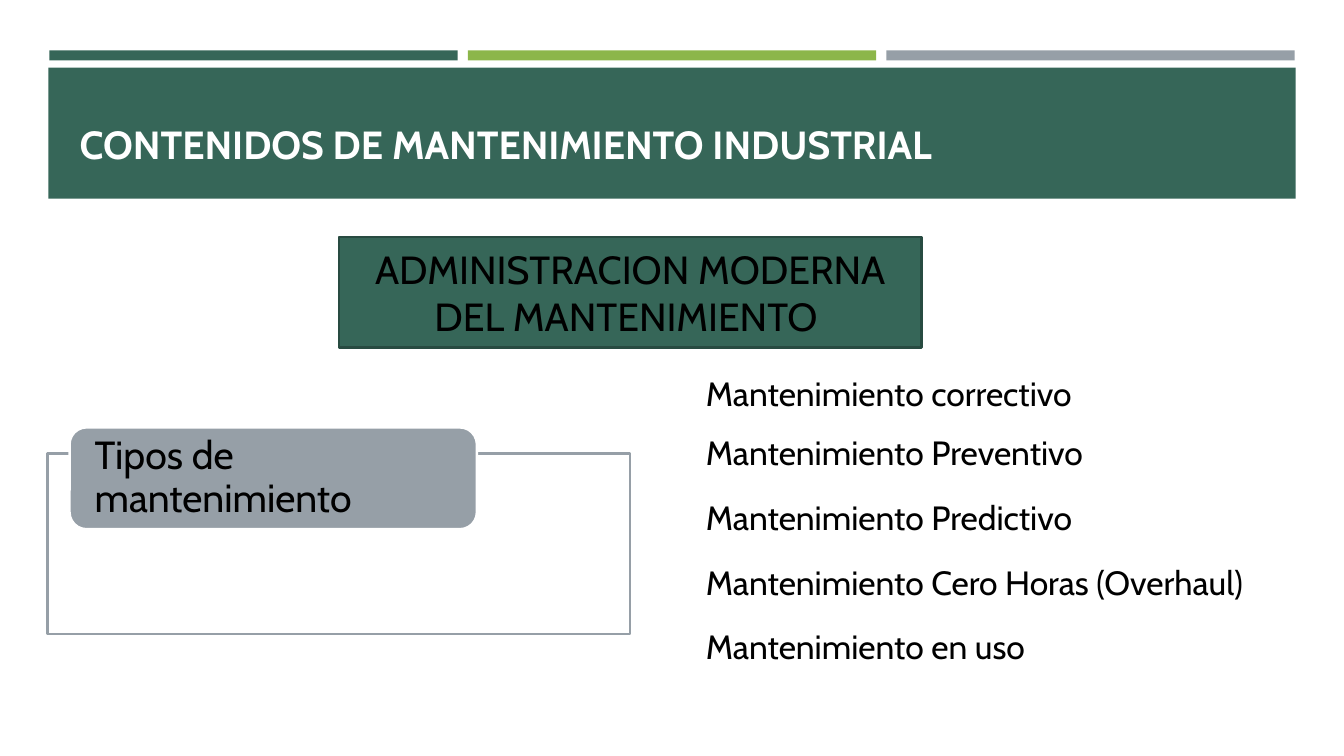
import pptx
import pptx.util
import pptx.dml.color
import pptx.enum.shapes
import pptx.enum.text

RGB = pptx.dml.color.RGBColor
SHAPE = pptx.enum.shapes.MSO_SHAPE
ANCHOR = pptx.enum.text.MSO_ANCHOR
ALIGN = pptx.enum.text.PP_ALIGN
Pt = pptx.util.Pt

GREEN = RGB(0x36, 0x66, 0x58)
DARK = RGB(0x28, 0x4B, 0x41)
LIME = RGB(0x8C, 0xB6, 0x4A)
GREY = RGB(0x96, 0x9F, 0xA7)
WHITE = RGB(0xFF, 0xFF, 0xFF)
BLACK = RGB(0, 0, 0)

SCALE = 9144  # EMU in one px, 100 px to the inch
TYPES = [
    "Mantenimiento correctivo",
    "Mantenimiento Preventivo",
    "Mantenimiento Predictivo",
    "Mantenimiento Cero Horas (Overhaul)",
    "Mantenimiento en uso",
]
GAPS = [0, 13.3, 17.6, 17.6, 17.2]


def px(num):
    return pptx.util.Emu(num * SCALE)


def apply(item, **vals):
    for name, val in vals.items():
        setattr(item, name, val)


def place(item, left, top, width, height):
    apply(item, left=px(left), top=px(top), width=px(width), height=px(height))


def style(para, size, color=BLACK, bold=False, **form):
    apply(para, **form)
    apply(para.font, name="Cabin", size=Pt(size), bold=bold)
    para.font.color.rgb = color


def block(slide, kind, box, fill, line=None):
    shape = slide.shapes.add_shape(kind, *map(px, box))
    shape.shadow.inherit = False
    shape.fill.solid()
    shape.fill.fore_color.rgb = fill
    if line is None:
        shape.line.fill.background()
    else:
        shape.line.color.rgb = line
        shape.line.width = Pt(1.75)
    return shape


def label(shape, text, align, inset, **form):
    frame = shape.text_frame
    apply(frame, word_wrap=True, vertical_anchor=ANCHOR.MIDDLE,
          margin_left=px(inset), margin_right=px(inset))
    frame.text = text
    style(frame.paragraphs[0], 28, alignment=align, **form)


def title(slide, text):
    head = slide.shapes.title
    place(head, 69, 25, 1219, 146)
    frame = head.text_frame
    apply(frame, text=text, word_wrap=True, vertical_anchor=ANCHOR.BOTTOM,
          auto_size=pptx.enum.text.MSO_AUTO_SIZE.NONE)
    style(frame.paragraphs[0], 28, WHITE, True, alignment=ALIGN.LEFT)


def listing(slide, items, gaps):
    body = slide.placeholders[1]
    place(body, 690, 365, 640, 303)
    frame = body.text_frame
    apply(frame, text="\n".join(items), word_wrap=True,
          vertical_anchor=ANCHOR.TOP,
          auto_size=pptx.enum.text.MSO_AUTO_SIZE.NONE)
    for para, gap in zip(frame.paragraphs, gaps):
        style(para, 24, alignment=ALIGN.LEFT, space_before=Pt(gap))
        # No bullet and no hanging indent
        props = para._p.get_or_add_pPr()
        props.set("marL", "0")
        props.set("indent", "0")
        props.append(pptx.oxml.parse_xml(
            '<a:buNone xmlns:a='
            '"http://schemas.openxmlformats.org/drawingml/2006/main"/>'))


def main():
    deck = pptx.Presentation()
    apply(deck, slide_width=px(1333), slide_height=px(750))
    slide = deck.slides.add_slide(deck.slide_layouts[1])

    # Header band with three strips above it
    for col, color in enumerate([GREEN, LIME, GREY]):
        block(slide, SHAPE.RECTANGLE, (49 + 415 * col, 50, 405, 10), color)
    band = block(slide, SHAPE.RECTANGLE, (48, 67, 1237, 130), GREEN)
    title(slide, "CONTENIDOS DE MANTENIMIENTO INDUSTRIAL")
    # Title goes in front of the band
    band._element.addnext(slide.shapes.title._element)

    # Frame with its tab
    block(slide, SHAPE.RECTANGLE, (47, 450, 578, 179), WHITE, GREY)
    tab = block(slide, SHAPE.ROUNDED_RECTANGLE, (69, 424, 404, 101),
                GREY, WHITE)
    label(tab, "Tipos de mantenimiento", ALIGN.LEFT, 20, line_spacing=0.9)

    # Subject box
    topic = block(slide, SHAPE.RECTANGLE, (336, 235, 578, 110), GREEN, DARK)
    label(topic, "ADMINISTRACION MODERNA DEL MANTENIMIENTO ",
          ALIGN.CENTER, 10)

    # Kinds of maintenance
    listing(slide, TYPES, GAPS)

    deck.save("out.pptx")


if __name__ == "__main__":
    main()
